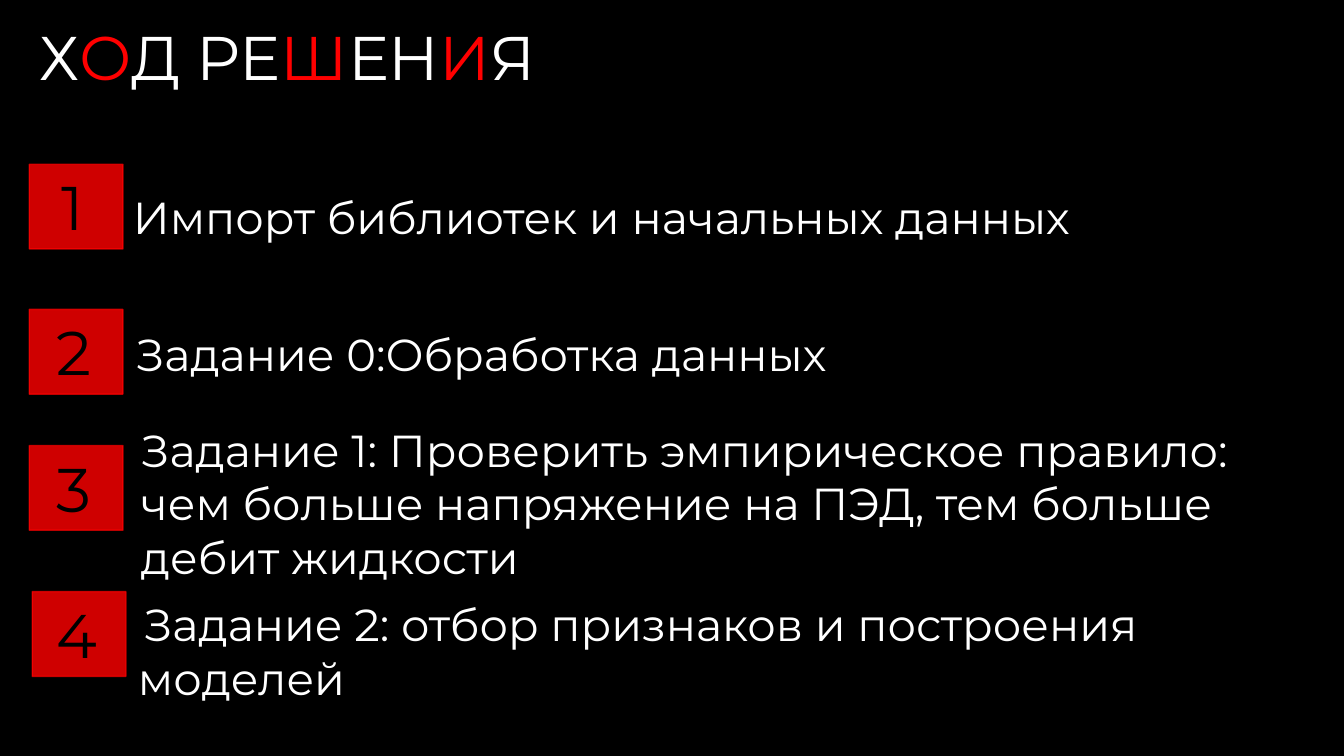
import dataclasses

import pptx
import pptx.dml.color
import pptx.enum.shapes
import pptx.enum.text
import pptx.oxml
import pptx.oxml.ns
import pptx.util

PX = 9144


@dataclasses.dataclass(frozen=True)
class Theme:
    """Colours, font and type sizes of the slide."""
    background: str = "000000"
    text: str = "FFFFFF"
    accent: str = "FF0000"
    number: str = "000000"
    font: str = "Montserrat"
    heading_size: int = 44
    step_size: int = 32
    fill_alpha: int = 81
    line_alpha: int = 71


THEME = Theme()
BADGE_WIDTH, BADGE_HEIGHT = 93, 84

HEADING = [("Х", THEME.text), ("О", THEME.accent), ("Д РЕ", THEME.text),
           ("Ш", THEME.accent), ("ЕН", THEME.text), ("И", THEME.accent),
           ("Я", THEME.text)]

STEPS = [
    {"text": "Импорт библиотек и начальных данных",
     "badge": (29, 163), "number_left": 51, "box": (122, 183, 1160, 64)},
    {"text": "Задание 0:Обработка данных",
     "badge": (29, 307), "number_left": 46, "box": (125, 319, 1160, 64)},
    {"text": "Задание 1: Проверить эмпирическое правило: "
             "чем больше напряжение на ПЭД, тем больше дебит жидкости",
     "badge": (29, 442), "number_left": 46, "box": (130, 414, 1119, 172)},
    {"text": "Задание 2: отбор признаков и построения моделей",
     "badge": (32, 587), "number_left": 46, "box": (127, 587, 1160, 118),
     "indent": 6},
]


def emu(*lengths):
    """Turn px lengths into EMU."""
    return [pptx.util.Emu(length * PX) for length in lengths]


def rgb(color):
    """Return the RGB colour for a hex string."""
    return pptx.dml.color.RGBColor.from_string(color)


def add_text(slide, box, text, *, size, color=THEME.text, wrap=True, indent=0):
    """Add a text box from a string or a list of (text, colour) runs."""
    frame = slide.shapes.add_textbox(*emu(*box)).text_frame
    frame.word_wrap = wrap
    frame.auto_size = pptx.enum.text.MSO_AUTO_SIZE.SHAPE_TO_FIT_TEXT
    paragraph = frame.paragraphs[0]
    if indent:
        paragraph._p.get_or_add_pPr().set("indent", str(indent * PX))
    pieces = [(text, color)] if isinstance(text, str) else text
    for piece, piece_color in pieces:
        run = paragraph.add_run()
        run.text = piece
        run.font.name = THEME.font
        run.font.size = pptx.util.Pt(size)
        run.font.color.rgb = rgb(piece_color)


def add_badge(slide, left, top):
    """Add the translucent red rectangle behind a step number."""
    badge = slide.shapes.add_shape(
        pptx.enum.shapes.MSO_SHAPE.RECTANGLE,
        *emu(left, top, BADGE_WIDTH, BADGE_HEIGHT))
    badge.shadow.inherit = False
    badge.line.width = pptx.util.Pt(1)
    for fill, percent in ((badge.fill, THEME.fill_alpha),
                          (badge.line.fill, THEME.line_alpha)):
        fill.solid()
        fill.fore_color.rgb = rgb(THEME.accent)
        color = fill._xPr.find(pptx.oxml.ns.qn("a:solidFill"))[0]
        alpha = pptx.oxml.parse_xml(
            f'<a:alpha {pptx.oxml.ns.nsdecls("a")} val="{percent * 1000}"/>')
        color.append(alpha)


def add_heading(slide, box):
    """Add the two-coloured heading in the given box."""
    add_text(slide, box, HEADING, size=THEME.heading_size, wrap=False)


def add_step(slide, number, step):
    """Add one numbered step: badge, description and number."""
    left, top = step["badge"]
    add_badge(slide, left, top)
    add_text(slide, step["box"], step["text"], size=THEME.step_size,
             indent=step.get("indent", 0))
    add_text(slide, (step["number_left"], top, 84, BADGE_HEIGHT), str(number),
             size=THEME.heading_size, color=THEME.number)


def main():
    """Build the solution outline slide and save it."""
    deck = pptx.Presentation()
    deck.slide_width, deck.slide_height = emu(1333, 750)
    slide = deck.slides.add_slide(deck.slide_layouts[6])
    slide.background.fill.solid()
    slide.background.fill.fore_color.rgb = rgb(THEME.background)
    add_heading(slide, (29, 14, 536, 84))
    for number, step in enumerate(STEPS, start=1):
        add_step(slide, number, step)
    deck.save("out.pptx")


if __name__ == "__main__":
    main()
